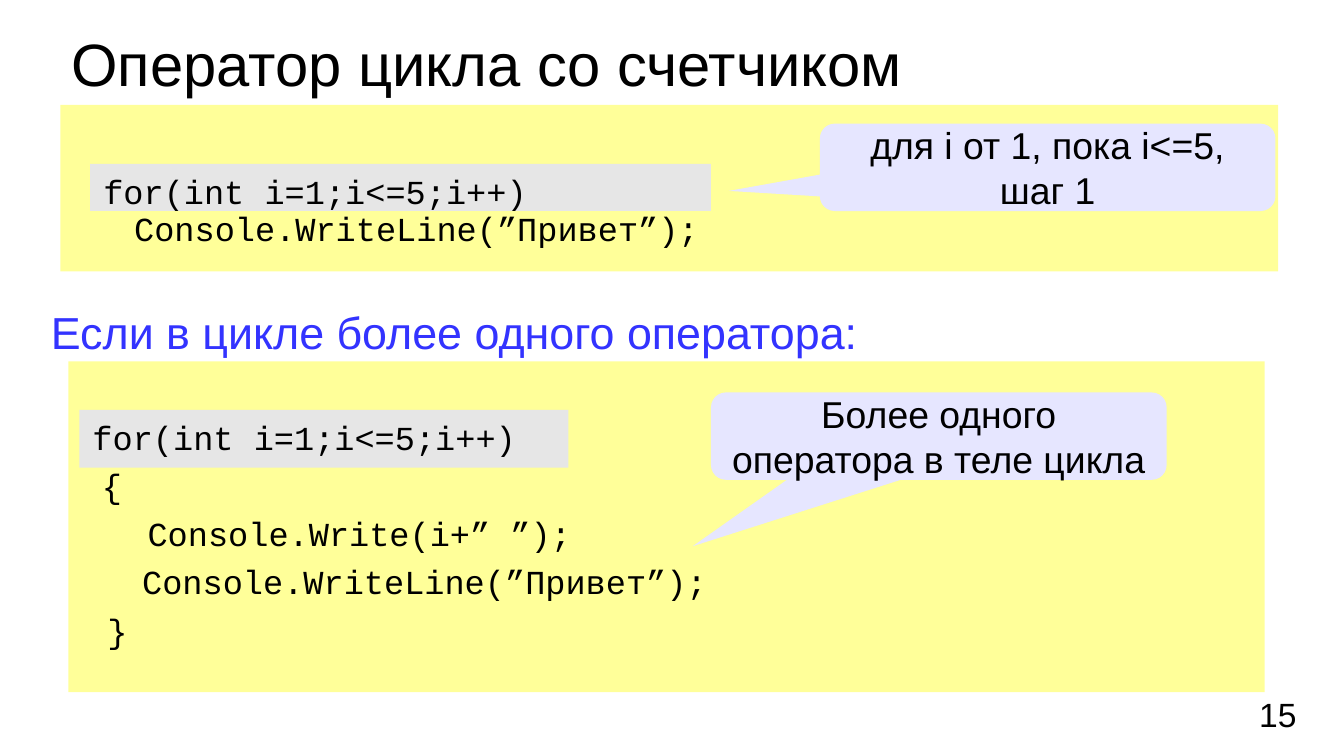
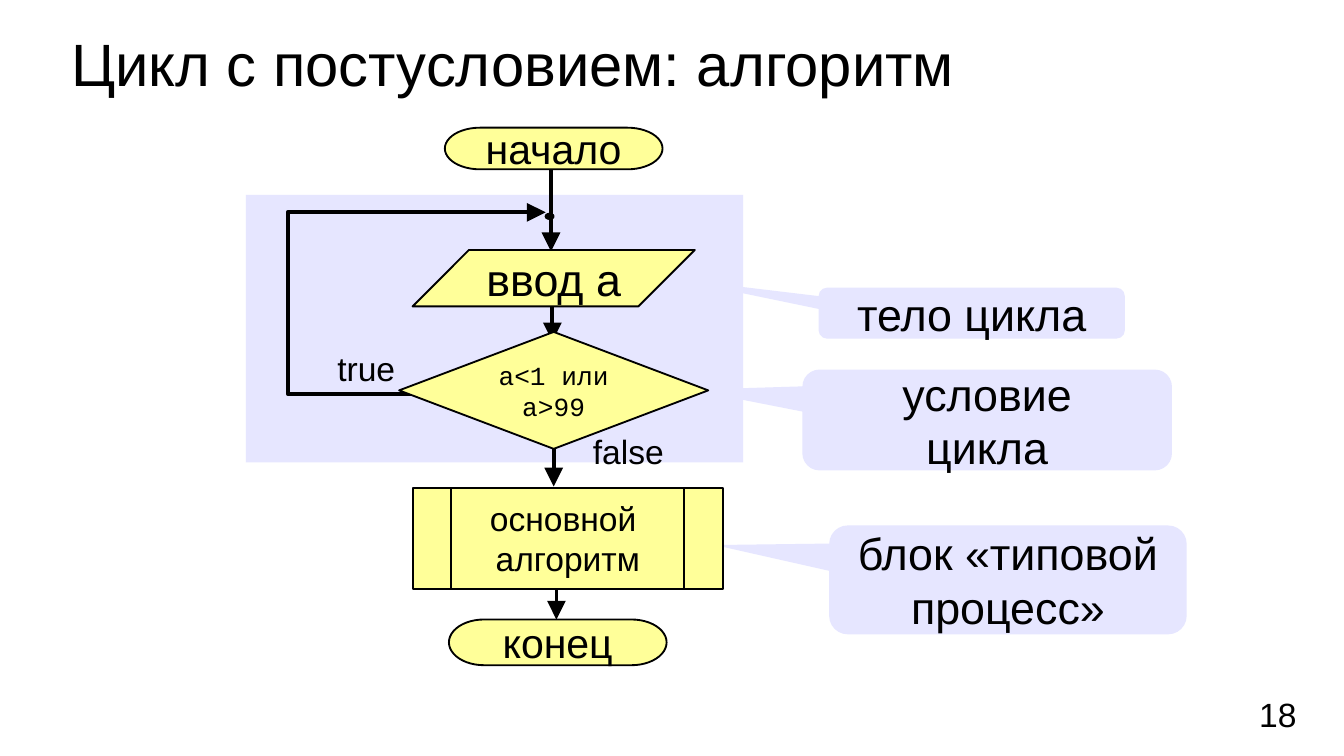
from dataclasses import dataclass

from lxml import etree
from pptx import Presentation
from pptx.dml.color import RGBColor
from pptx.enum.shapes import MSO_CONNECTOR, MSO_SHAPE
from pptx.enum.text import MSO_ANCHOR, MSO_AUTO_SIZE, PP_ALIGN
from pptx.oxml.ns import qn
from pptx.util import Inches, Pt

RECT = MSO_SHAPE.RECTANGLE
CALLOUT = MSO_SHAPE.ROUNDED_RECTANGULAR_CALLOUT
TERMINATOR = MSO_SHAPE.FLOWCHART_TERMINATOR
INPUT = MSO_SHAPE.FLOWCHART_DATA
PROCESS = MSO_SHAPE.FLOWCHART_PREDEFINED_PROCESS
DECISION = MSO_SHAPE.FLOWCHART_DECISION
DOT = MSO_SHAPE.OVAL
STRAIGHT = MSO_CONNECTOR.STRAIGHT
TOP, MIDDLE = MSO_ANCHOR.TOP, MSO_ANCHOR.MIDDLE
LEFT, CENTER = PP_ALIGN.LEFT, PP_ALIGN.CENTER
NO_AUTOFIT = MSO_AUTO_SIZE.NONE

COLORS = {
    "ink": "000000",
    "heading": "3333FF",
    "code": "FFFF99",
    "highlight": "E6E6E6",
    "note": "E6E6FF",
}
SANS, MONO = "Arial", "Courier New"
TITLE_ONLY = 5
SLIDE_WIDTH = Inches(10)
SLIDE_HEIGHT = SLIDE_WIDTH * 9 // 16
Bounds = tuple[float, float, float, float]
Point = tuple[float, float]


@dataclass(frozen=True)
class TextStyle:
    size: float
    font: str = SANS
    color: str = "ink"
    align: PP_ALIGN = LEFT
    anchor: MSO_ANCHOR = TOP
    inset_top: float = 0.05


@dataclass(frozen=True)
class CodePanel:
    bounds: Bounds
    lines: tuple[tuple[float, str], ...]  # indent in inches, code
    header: Bounds


@dataclass(frozen=True)
class Callout:
    text: str
    bounds: Bounds
    pointer: Point
    size: float


@dataclass(frozen=True)
class Block:
    kind: MSO_SHAPE
    text: str
    bounds: Bounds
    size: float = 18
    font: str = SANS


@dataclass(frozen=True)
class Label:
    text: str
    bounds: Bounds
    style: TextStyle


TITLE = TextStyle(32)
CODE = TextStyle(18, MONO)
CODE_BODY = TextStyle(18, MONO, inset_top=0.77)
HEADING = TextStyle(24, color="heading")
BRANCH = TextStyle(18, align=CENTER)
PAGE_NUMBER = TextStyle(18, anchor=MIDDLE)


# Shared helpers
def rgb(name: str) -> RGBColor:
    return RGBColor.from_string(COLORS[name])


def place(shape, bounds: Bounds) -> None:
    shape.left, shape.top, shape.width, shape.height = map(Inches, bounds)


def write(shape, lines: list[tuple[float, str]], style: TextStyle) -> None:
    frame = shape.text_frame
    frame.auto_size = NO_AUTOFIT
    frame.word_wrap = True
    frame.vertical_anchor = style.anchor
    frame.margin_left = frame.margin_right = Inches(0.1)
    frame.margin_top, frame.margin_bottom = Inches(style.inset_top), Inches(0.05)
    for number, (indent, text) in enumerate(lines):
        paragraph = frame.add_paragraph() if number else frame.paragraphs[0]
        paragraph.alignment = style.align
        if number:
            paragraph.space_before = Pt(4.2)
        if indent:
            properties = paragraph._p.get_or_add_pPr()
            properties.set("marL", str(Inches(indent)))
            properties.set("indent", "0")
        for row, part in enumerate(text.split("\n")):
            if row:
                paragraph.add_line_break()
            run = paragraph.add_run()
            run.text = part
            run.font.size = Pt(style.size)
            run.font.name = style.font
            run.font.color.rgb = rgb(style.color)


def draw_shape(slide, kind: MSO_SHAPE, bounds: Bounds, fill: str, outlined: bool = False):
    shape = slide.shapes.add_shape(kind, *map(Inches, bounds))
    shape.shadow.inherit = False
    shape.fill.solid()
    shape.fill.fore_color.rgb = rgb(fill)
    if outlined:
        shape.line.color.rgb = rgb("ink")
        shape.line.width = Pt(1)
    else:
        shape.line.fill.background()
    return shape


def draw_label(slide, label: Label) -> None:
    box = slide.shapes.add_textbox(*map(Inches, label.bounds))
    write(box, [(0, label.text)], label.style)


def draw_callout(slide, callout: Callout) -> None:
    bubble = draw_shape(slide, CALLOUT, callout.bounds, "note")
    bubble.adjustments[0], bubble.adjustments[1] = callout.pointer
    bubble.adjustments[2] = 0.17
    write(bubble, [(0, callout.text)], TextStyle(callout.size, align=CENTER, anchor=MIDDLE))


def draw_code_panel(slide, panel: CodePanel) -> None:
    body = draw_shape(slide, RECT, panel.bounds, "code")
    write(body, list(panel.lines), CODE_BODY)
    header = draw_shape(slide, RECT, panel.header, "highlight")
    write(header, [(0, "for(int i=1;i<=5;i++)")], CODE)


def draw_block(slide, block: Block) -> None:
    shape = draw_shape(slide, block.kind, block.bounds, "code", outlined=True)
    write(shape, [(0, block.text)], TextStyle(block.size, block.font, align=CENTER, anchor=MIDDLE))


def style_arrow(shape) -> None:
    shape.line.color.rgb = rgb("ink")
    shape.line.width = Pt(2)
    line = shape.line._get_or_add_ln()
    etree.SubElement(line, qn("a:tailEnd"), type="triangle", w="lg", len="lg")


def draw_arrow(slide, start: Point, end: Point) -> None:
    arrow = slide.shapes.add_connector(STRAIGHT, *map(Inches, (*start, *end)))
    style_arrow(arrow)
    etree.SubElement(arrow._element.spPr, qn("a:effectLst"))


def draw_bent_arrow(slide, points: list[Point]) -> None:
    corners = [(Inches(x), Inches(y)) for x, y in points]
    builder = slide.shapes.build_freeform(*corners[0])
    builder.add_line_segments(corners[1:], close=False)
    arrow = builder.convert_to_shape()
    arrow.shadow.inherit = False
    arrow.fill.background()
    style_arrow(arrow)


def add_slide(deck, title: str, number: int):
    slide = deck.slides.add_slide(deck.slide_layouts[TITLE_ONLY])
    place(slide.shapes.title, (0.43, 0.15, 8.9, 0.45))
    write(slide.shapes.title, [(0, title)], TITLE)
    draw_label(slide, Label(str(number), (9.27, 5.1, 0.6, 0.43), PAGE_NUMBER))
    return slide


# Slide: counted loop
CODE_PANELS = [
    CodePanel(
        (0.45, 0.78, 9.06, 1.24),
        ((0.45, "Console.WriteLine(”Привет”);"),),
        (0.67, 1.22, 4.62, 0.35),
    ),
    CodePanel(
        (0.51, 2.69, 8.9, 2.46),
        (
            (0.15, "{"),
            (0.49, "Console.Write(i+” ”);"),
            (0.45, "Console.WriteLine(”Привет”);"),
            (0.19, "}"),
        ),
        (0.59, 3.05, 3.64, 0.43),
    ),
]
LOOP_NOTES = [
    Callout("для i от 1, пока i<=5,\nшаг 1", (6.1, 0.92, 3.39, 0.65), (-0.7, 0.27), 20),
    Callout("Более одного оператора в теле цикла", (5.29, 2.92, 3.39, 0.65), (-0.54, 1.26), 20),
]


def build_counted_loop(deck) -> None:
    slide = add_slide(deck, "Оператор цикла со счетчиком", 15)
    for panel in CODE_PANELS:
        draw_code_panel(slide, panel)
    draw_label(slide, Label("Если в цикле более одного оператора:", (0.28, 2.22, 7.11, 0.38), HEADING))
    for note in LOOP_NOTES:
        draw_callout(slide, note)


# Slide: flowchart of the loop with a postcondition
FLOW_ARROWS = [
    ((4.1, 1.26), (4.1, 1.87)),
    ((4.11, 2.28), (4.11, 2.54)),
    ((4.12, 3.26), (4.12, 3.62)),
    ((4.14, 4.38), (4.14, 4.61)),
]
RETURN_ROUTE = [(3.11, 2.93), (2.14, 2.93), (2.14, 1.58), (4.06, 1.58)]
FLOW_BLOCKS = [
    Block(TERMINATOR, "начало", (3.31, 0.95, 1.62, 0.31), 22),
    Block(INPUT, "ввод a", (3.07, 1.86, 2.1, 0.42), 24),
    Block(DECISION, "a<1 или\na>99", (2.97, 2.47, 2.3, 0.87), 14, MONO),
    Block(PROCESS, "основной \nалгоритм", (3.07, 3.63, 2.31, 0.75)),
    Block(TERMINATOR, "конец", (3.34, 4.61, 1.62, 0.34), 22),
]
BRANCHES = [
    Label("true", (2.35, 2.54, 0.75, 0.3), BRANCH),
    Label("false", (4.3, 3.16, 0.75, 0.3), BRANCH),
]
FLOW_NOTES = [
    Callout("тело цикла", (6.09, 2.14, 2.28, 0.38), (-0.98, -0.68), 24),
    Callout("условие\nцикла", (5.97, 2.75, 2.75, 0.75), (-0.8, -0.3), 24),
    Callout("блок «типовой процесс»", (6.17, 3.91, 2.66, 0.81), (-0.82, -0.32), 24),
]


def build_flowchart(deck) -> None:
    slide = add_slide(deck, "Цикл с постусловием: алгоритм", 18)
    draw_shape(slide, RECT, (1.83, 1.45, 3.7, 1.99), "note")
    draw_shape(slide, DOT, (4.06, 1.59, 0.06, 0.04), "ink", outlined=True)
    for start, end in FLOW_ARROWS:
        draw_arrow(slide, start, end)
    draw_bent_arrow(slide, RETURN_ROUTE)
    for note in FLOW_NOTES:
        draw_callout(slide, note)
    for block in FLOW_BLOCKS:
        draw_block(slide, block)
    for branch in BRANCHES:
        draw_label(slide, branch)


def main() -> None:
    deck = Presentation()
    deck.slide_width, deck.slide_height = SLIDE_WIDTH, SLIDE_HEIGHT
    build_counted_loop(deck)
    build_flowchart(deck)
    deck.save("out.pptx")


if __name__ == "__main__":
    main()
